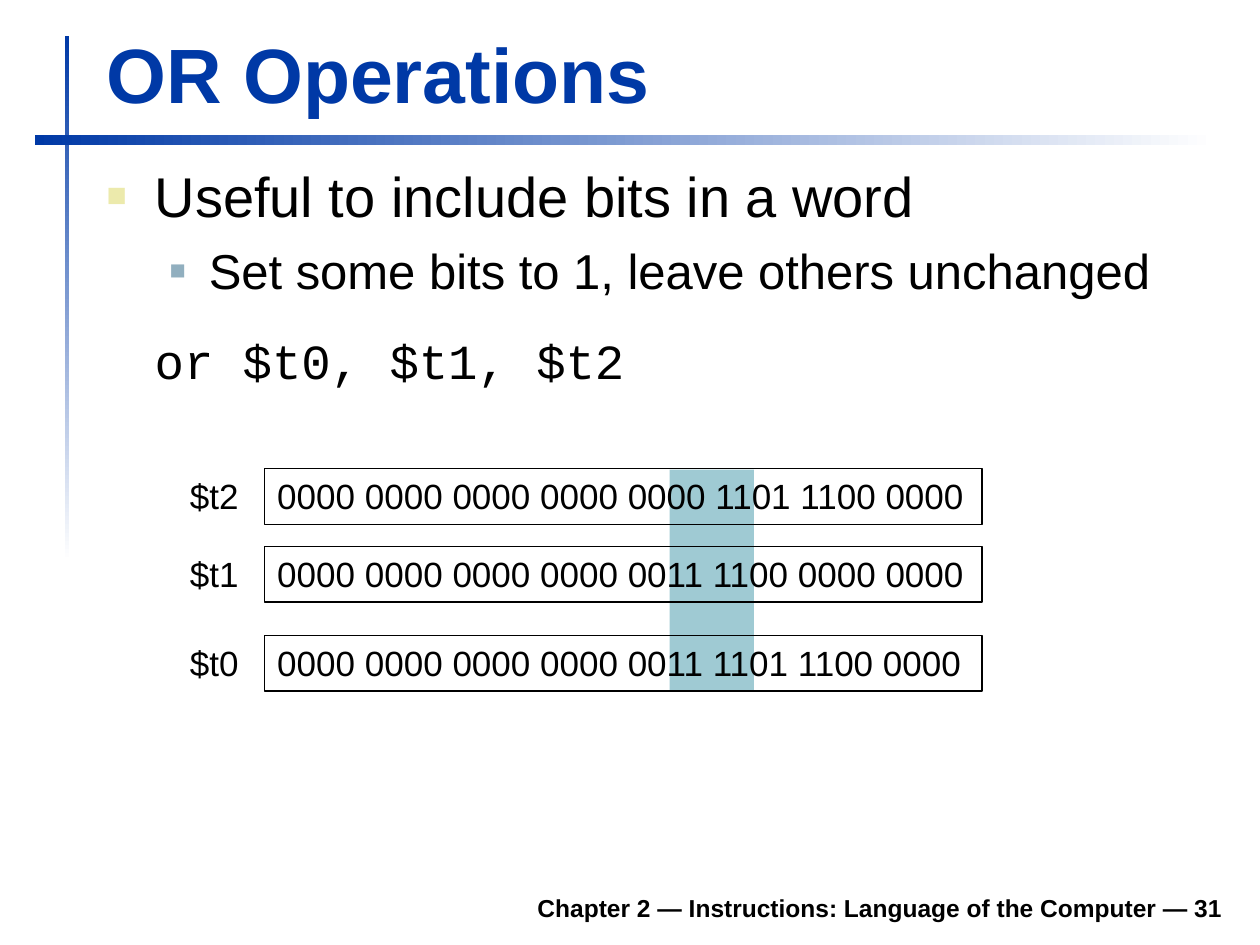
from lxml.etree import SubElement
from pptx import Presentation
from pptx.dml.color import RGBColor
from pptx.enum.shapes import MSO_SHAPE
from pptx.enum.text import MSO_ANCHOR, PP_ALIGN
from pptx.oxml.ns import qn
from pptx.util import Cm, Pt

HUES = {
    "blue": "0039A6",
    "white": "FFFFFF",
    "black": "000000",
    "teal": "9FCAD3",
    "sand": "ECEAAC",
    "steel": "91AFBF",
}


def hue(name):
    return RGBColor.from_string(HUES[name])


def add_rect(slide, *box):
    rect = slide.shapes.add_shape(MSO_SHAPE.RECTANGLE, *map(Cm, box))
    rect.shadow.inherit = False
    rect.line.fill.background()
    return rect


def add_rule(slide, box, angle):
    fill = add_rect(slide, *box).fill
    fill.gradient()
    fill.gradient_angle = angle
    for stop, name in zip(fill.gradient_stops, ("blue", "white")):
        stop.color.rgb = hue(name)


def add_box(slide, *box, wrap=True, anchor=MSO_ANCHOR.TOP):
    frame = slide.shapes.add_textbox(*map(Cm, box)).text_frame
    frame.word_wrap = wrap
    frame.vertical_anchor = anchor
    return frame


def add_run(para, text, size, color="black", bold=False, face="Arial"):
    run = para.add_run()
    run.text = text
    font = run.font
    font.name, font.size, font.bold = face, Pt(size), bold
    font.color.rgb = hue(color)


def indent(para, left, hang=0):
    props = para._p.get_or_add_pPr()
    props.set("marL", str(Cm(left)))
    props.set("indent", str(-Cm(hang)))
    return props


def add_mark(para, left, hang, color, scale):
    props = indent(para, left, hang)
    tint = SubElement(props, qn("a:buClr"))
    SubElement(tint, qn("a:srgbClr"), val=HUES[color])
    SubElement(props, qn("a:buSzPct"), val=str(scale * 1000))
    SubElement(props, qn("a:buFont"), typeface="Arial")
    SubElement(props, qn("a:buChar"), char="■")


def add_word(slide, top, name, bits):
    # Register label and its boxed bits
    label = add_box(slide, 3.58, top, 1.65, 1.12, wrap=False)
    label.margin_right = 0
    para = label.paragraphs[0]
    para.alignment = PP_ALIGN.LEFT
    add_run(para, name, 20)
    cell = add_rect(slide, 5.34, top, 14.46, 1.12)
    cell.fill.background()
    cell.line.color.rgb = hue("black")
    cell.line.width = Pt(0.75)
    frame = cell.text_frame
    frame.word_wrap = False
    frame.vertical_anchor = MSO_ANCHOR.TOP
    para = frame.paragraphs[0]
    para.alignment = PP_ALIGN.LEFT
    add_run(para, bits, 20)


def add_body(slide):
    frame = add_box(slide, 1.9, 3.13, 22.96, 5.76)
    para = frame.paragraphs[0]
    add_mark(para, 0.97, 0.97, "sand", 60)
    add_run(para, "Useful to include bits in a word", 32)

    para = frame.add_paragraph()
    para.level = 1
    add_mark(para, 2.06, 0.79, "steel", 55)
    para.space_before = Pt(7)
    add_run(para, "Set some bits to 1, leave others unchanged", 28)

    para = frame.add_paragraph()
    indent(para, 0.97)
    para.space_before = Pt(17.5)
    para.space_after = Pt(10.5)
    add_run(para, "or $t0, $t1, $t2", 28, face="Courier New")


def main():
    deck = Presentation()
    deck.slide_width, deck.slide_height = Cm(25.4), Cm(19.05)
    slide = deck.slides.add_slide(deck.slide_layouts[6])

    # Crossed rules
    add_rule(slide, (1.31, 0.72, 0.09, 10.6), 270)
    add_rule(slide, (0.7, 2.73, 23.8, 0.2), 0)

    # Title and body
    title = add_box(slide, 1.9, 0.41, 22.94, 2.11, anchor=MSO_ANCHOR.BOTTOM)
    add_run(title.paragraphs[0], "OR Operations", 44, "blue", True)
    add_body(slide)

    # Highlighted bits behind the words
    band = add_rect(slide, 13.5, 9.47, 1.7, 4.47)
    band.fill.solid()
    band.fill.fore_color.rgb = hue("teal")

    # Register words
    words = (
        (9.45, "$t2", "0000 0000 0000 0000 0000 1101 1100 0000"),
        (11.02, "$t1", "0000 0000 0000 0000 0011 1100 0000 0000"),
        (12.81, "$t0", "0000 0000 0000 0000 0011 1101 1100 0000"),
    )
    for word in words:
        add_word(slide, *word)

    # Footer
    foot = add_box(slide, 4.7, 17.73, 20.2, 0.99, anchor=MSO_ANCHOR.BOTTOM)
    para = foot.paragraphs[0]
    para.alignment = PP_ALIGN.RIGHT
    add_run(para, "Chapter 2 — Instructions: Language of the Computer — 31",
            14, bold=True)

    deck.save("out.pptx")


if __name__ == "__main__":
    main()
